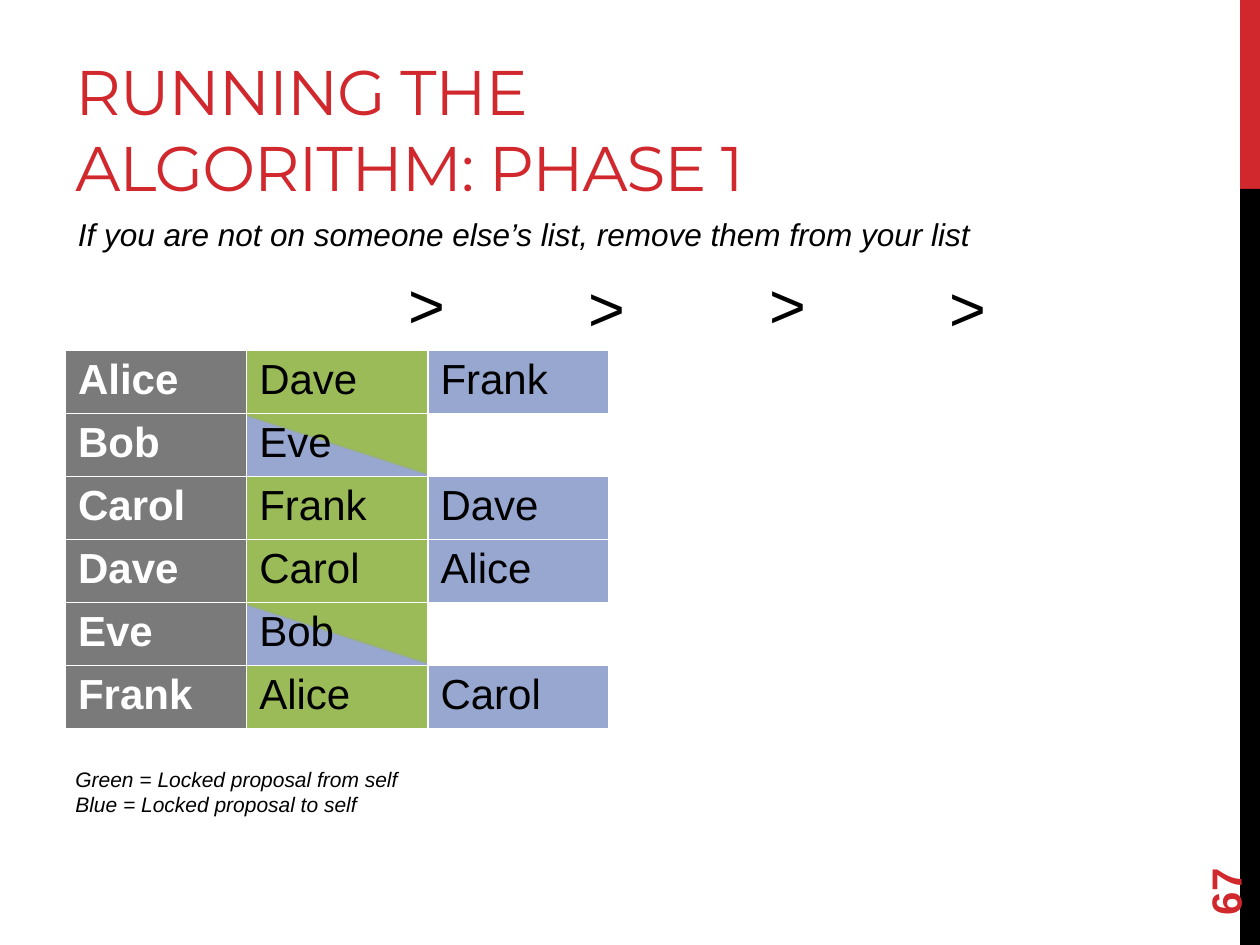
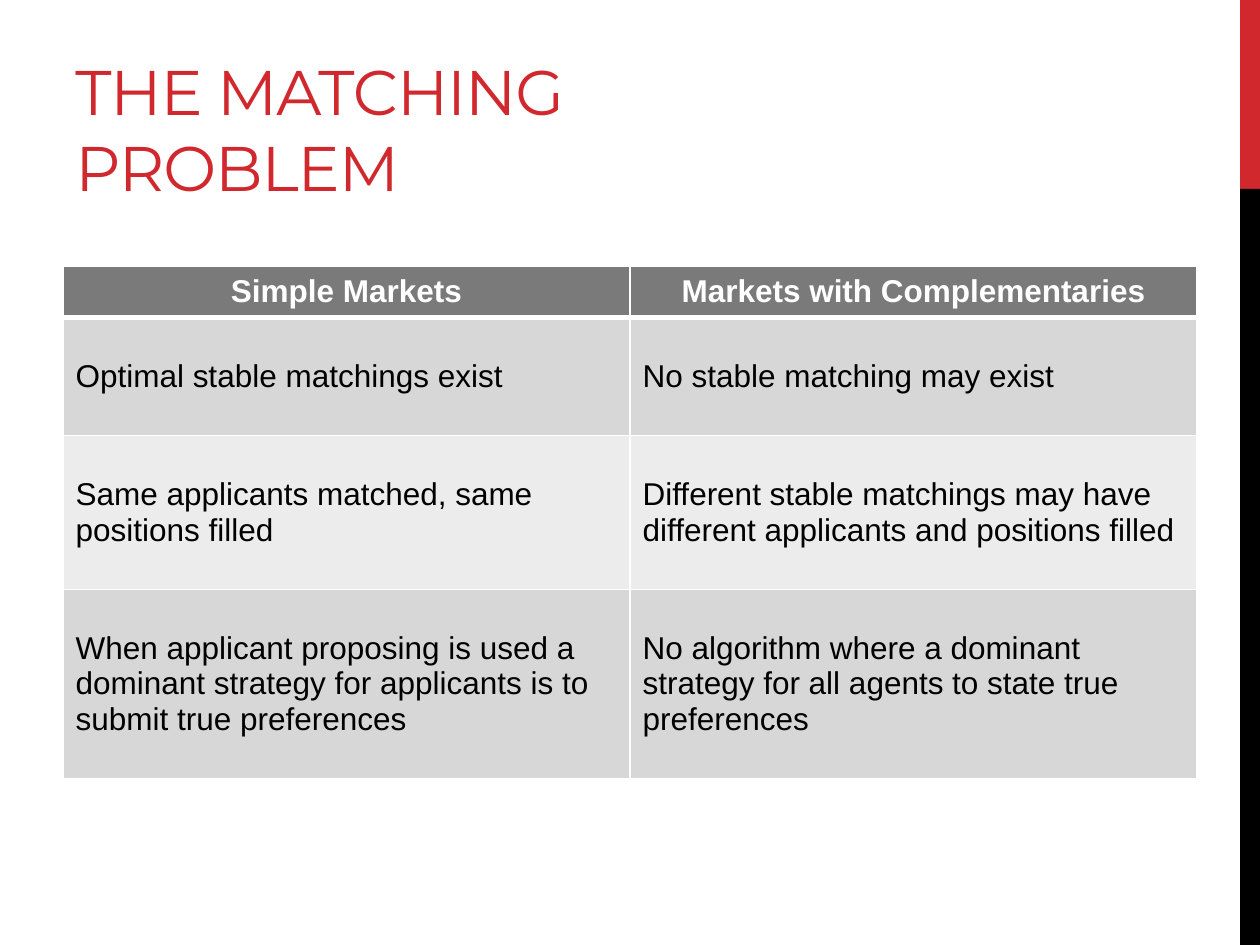
"""Build two slides on stable matching: a phase 1 preference table and a market comparison."""
from dataclasses import dataclass

from lxml import etree
from pptx import Presentation
from pptx import util as u
from pptx.dml.color import RGBColor
from pptx.enum import shapes, text
from pptx.oxml.ns import qn

RED, BLACK, WHITE, GREY = "D1282E", "000000", "FFFFFF", "7A7A7A"
GREEN, BLUE, DARK_BAND, LIGHT_BAND = "9BBB59", "97A7D0", "D7D7D7", "ECECEC"
SPLIT = "split"
PAGE_WIDTH, PAGE_HEIGHT = 25.4, 19.05


@dataclass(frozen=True)
class Area:
    """Place and size in centimetres."""
    left: float
    top: float
    width: float
    height: float


@dataclass(frozen=True)
class Entry:
    """Text and look of one table cell."""
    words: str = ""
    fill: str = WHITE
    color: str = BLACK
    bold: bool = False
    align: text.PP_ALIGN = text.PP_ALIGN.LEFT


@dataclass(frozen=True)
class Band:
    """One coloured strip at the right edge."""
    area: Area
    color: str


BANDS = (
    Band(Area(25, 0, 0.4, 3.81), RED),
    Band(Area(25, 3.81, 0.4, 15.24), BLACK),
)
PREFERENCES = {
    "Alice": ("Dave", "Frank"),
    "Bob": ("Eve",),
    "Carol": ("Frank", "Dave"),
    "Dave": ("Carol", "Alice"),
    "Eve": ("Bob",),
    "Frank": ("Alice", "Carol"),
}
MARKET_HEADS = ("Simple Markets", "Markets with Complementaries")
MARKET_FACTS = (
    ("Optimal stable matchings exist", "No stable matching may exist"),
    ("Same applicants matched, same positions filled",
     "Different stable matchings may have different applicants and positions filled"),
    ("When applicant proposing is used a dominant strategy for applicants is to submit true preferences",
     "No algorithm where a dominant strategy for all agents to state true preferences"),
)


def paint(color: str) -> RGBColor:
    """Turn a hex string into a colour."""
    return RGBColor.from_string(color)


def place(area: Area) -> tuple:
    """Give the four lengths of an area."""
    return u.Cm(area.left), u.Cm(area.top), u.Cm(area.width), u.Cm(area.height)


def write(frame, words: str, *, size: float, color: str = BLACK, font: str = "Arial",
          bold: bool = False, italic: bool = False, spacing: int = 0,
          align: text.PP_ALIGN = text.PP_ALIGN.LEFT) -> None:
    """Fill a text frame, one paragraph for each line of words."""
    for number, line in enumerate(words.split("\n")):
        para = frame.add_paragraph() if number else frame.paragraphs[0]
        para.alignment = align
        span = para.add_run()
        span.text = line
        span.font.name, span.font.size = font, u.Pt(size)
        span.font.bold, span.font.italic = bold, italic
        span.font.color.rgb = paint(color)
        if spacing:
            span.font._element.set("spc", str(spacing))


def add_text(page, area: Area, words: str, *, anchor: text.MSO_ANCHOR = text.MSO_ANCHOR.TOP,
             rotation: float = 0, **look) -> None:
    """Add a wrapping text box."""
    box = page.shapes.add_textbox(*place(area))
    box.rotation = rotation
    box.text_frame.word_wrap = True
    box.text_frame.vertical_anchor = anchor
    write(box.text_frame, words, **look)


def start_page(deck, title: str):
    """Add a page with the shared bands and title."""
    page = deck.slides.add_slide(deck.slide_layouts[6])
    for band in BANDS:
        strip = page.shapes.add_shape(shapes.MSO_SHAPE.RECTANGLE, *place(band.area))
        strip.shadow.inherit = False
        strip.fill.solid()
        strip.fill.fore_color.rgb = paint(band.color)
        strip.line.fill.background()
    add_text(page, Area(1.27, 0.43, 16.08, 3.81), title, anchor=text.MSO_ANCHOR.BOTTOM,
             size=36, color=RED, font="Montserrat", spacing=-60)
    return page


def add_borders(cell, top: float, bottom: float) -> None:
    """Draw white cell borders with widths in points."""
    properties = cell._tc.get_or_add_tcPr()
    for side, width in (("L", 1), ("R", 1), ("T", top), ("B", bottom)):
        line = etree.SubElement(properties, qn(f"a:ln{side}"), w=str(u.Pt(width)))
        solid = etree.SubElement(line, qn("a:solidFill"))
        etree.SubElement(solid, qn("a:srgbClr"), val=WHITE)


def fill_cell(cell, fill: str) -> None:
    """Fill a cell with one colour, or split it between blue and green."""
    if fill != SPLIT:
        cell.fill.solid()
        cell.fill.fore_color.rgb = paint(fill)
        return
    cell.fill.gradient()
    cell.fill.gradient_angle = 72
    for stop, color, position in zip(cell.fill.gradient_stops, (BLUE, GREEN), (0.49, 0.51)):
        stop.color.rgb = paint(color)
        stop.position = position


def add_grid(page, area: Area, entries: list[list[Entry]], heights: list[float], *, size: float,
             anchor: text.MSO_ANCHOR = text.MSO_ANCHOR.TOP, head_line: float = 1) -> None:
    """Add a table with equal columns."""
    columns = len(entries[0])
    table = page.shapes.add_table(len(entries), columns, *place(area)).table
    table.first_row = table.horz_banding = False
    for column in table.columns:
        column.width = u.Cm(area.width / columns)
    for number, (row, height) in enumerate(zip(entries, heights)):
        table.rows[number].height = u.Cm(height)
        for cell, entry in zip(table.rows[number].cells, row):
            add_borders(cell, head_line if number == 1 else 1, head_line if number == 0 else 1)
            fill_cell(cell, entry.fill)
            cell.vertical_anchor = anchor
            if entry.words:
                write(cell.text_frame, entry.words, size=size, color=entry.color,
                      bold=entry.bold, align=entry.align)


def preference_row(person: str, choices: tuple[str, ...]) -> list[Entry]:
    """Make the cells for a person: name, ranked choices and blanks."""
    fills = (GREEN, BLUE) if len(choices) == 2 else (SPLIT,)
    row = [Entry(person, GREY, WHITE, True)]
    row += [Entry(choice, fill) for choice, fill in zip(choices, fills)]
    return row + [Entry()] * (6 - len(row))


def build_phase_page(deck) -> None:
    """Build the page on phase 1 of the algorithm."""
    page = start_page(deck, "RUNNING THE ALGORITHM: PHASE 1")
    rows = [preference_row(person, choices) for person, choices in PREFERENCES.items()]
    add_grid(page, Area(1.32, 7.06, 21.92, 7.5), rows, [1.25] * len(rows), size=24)
    for number in range(4):
        add_text(page, Area(7.75 + 3.64 * number, 5.23 + 0.05 * (number % 2), 1.7, 1.8), ">",
                 size=36, align=text.PP_ALIGN.CENTER)
    add_text(page, Area(22.86, 16.36, 3.66, 1.02), "67", anchor=text.MSO_ANCHOR.MIDDLE,
             rotation=270, size=24, color=RED, bold=True)
    add_text(page, Area(1.32, 4.22, 19.05, 1.02),
             "If you are not on someone else’s list, remove them from your list", size=18, italic=True)
    add_text(page, Area(1.27, 15.32, 19.05, 1.27),
             "Green = Locked proposal from self\nBlue = Locked proposal to self", size=12, italic=True)


def build_market_page(deck) -> None:
    """Build the page that compares the two kinds of market."""
    page = start_page(deck, "THE MATCHING PROBLEM")
    rows = [[Entry(head, GREY, WHITE, True, text.PP_ALIGN.CENTER) for head in MARKET_HEADS]]
    for number, facts in enumerate(MARKET_FACTS):
        rows.append([Entry(fact, LIGHT_BAND if number % 2 else DARK_BAND) for fact in facts])
    add_grid(page, Area(1.27, 5.37, 22.86, 10.3), rows, [1.03, 2.38, 3.1, 3.81], size=18,
             anchor=text.MSO_ANCHOR.MIDDLE, head_line=3)


def main() -> None:
    """Build and save the deck."""
    deck = Presentation()
    deck.slide_width, deck.slide_height = u.Cm(PAGE_WIDTH), u.Cm(PAGE_HEIGHT)
    build_phase_page(deck)
    build_market_page(deck)
    deck.save("out.pptx")


if __name__ == "__main__":
    main()
